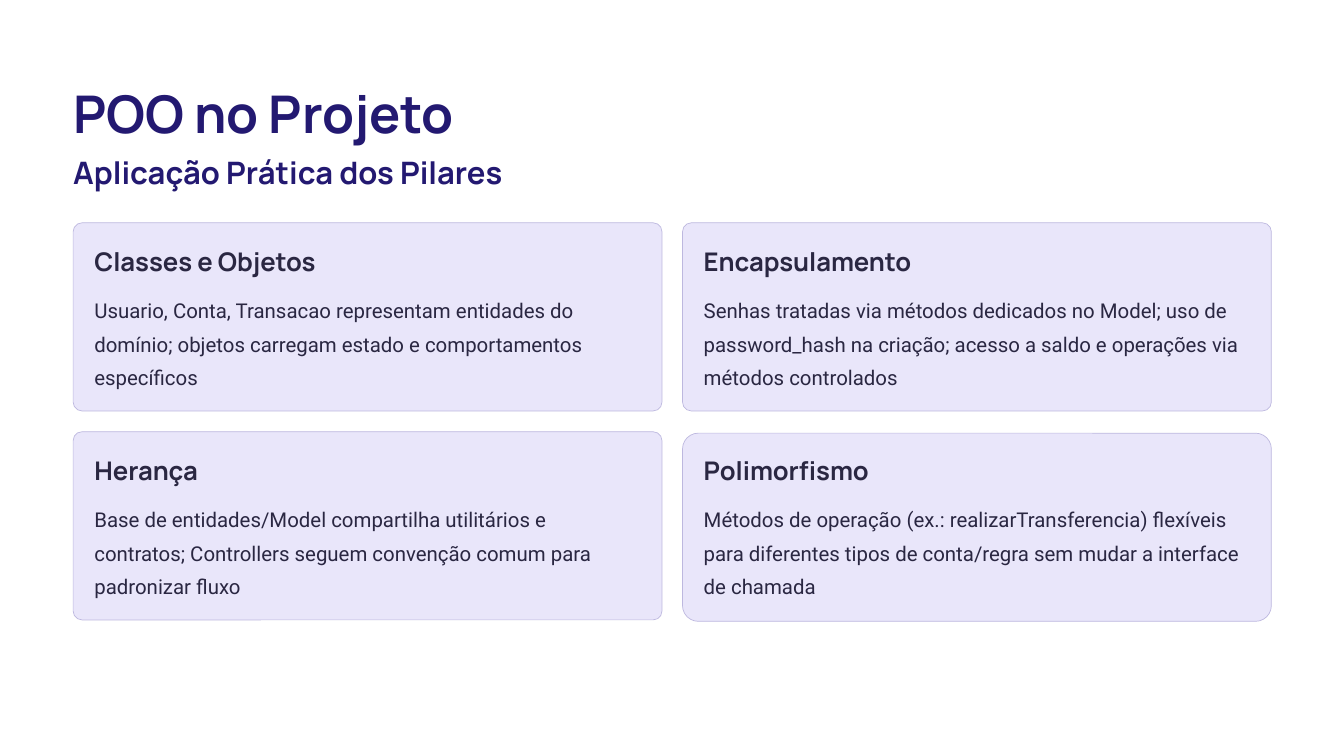
from pptx import Presentation
from pptx.dml.color import RGBColor
from pptx.enum import shapes, text
from pptx.util import Pt

COLORS = {"title": "231971", "ink": "2A2742", "card": "E9E6FA", "border": "BDB8DF"}

LEFT, CARDS_TOP = 62.7, 191
CARD_WIDTH, CARD_HEIGHT = 504.7, 161.3
COLUMN_STEP, ROW_STEP = 522.3, 179.1
PADDING = 18.2
TITLE_WIDTH = 446.4

# heading, body, corner rounding, downward offset
CARDS = [
    ("Classes e Objetos",
     "Usuario, Conta, Transacao representam entidades do domínio; "
     "objetos carregam estado e comportamentos específicos", 0.047, 0),
    ("Encapsulamento",
     "Senhas tratadas via métodos dedicados no Model; uso de password_hash "
     "na criação; acesso a saldo e operações via métodos controlados", 0.047, 0),
    ("Herança",
     "Base de entidades/Model compartilha utilitários e contratos; "
     "Controllers seguem convenção comum para padronizar fluxo", 0.047, 0),
    ("Polimorfismo",
     "Métodos de operação (ex.: realizarTransferencia) flexíveis para diferentes "
     "tipos de conta/regra sem mudar a interface de chamada", 0.084, 1.2),
]


def rgb(name):
    return RGBColor.from_string(COLORS[name])


def add_text(slide, words, left, top, width, height, size, spacing, color,
             font="Manrope", bold=True, wrap=False):
    box = slide.shapes.add_textbox(Pt(left), Pt(top), Pt(width), Pt(height))
    frame = box.text_frame
    frame.word_wrap = wrap
    frame.vertical_anchor = text.MSO_ANCHOR.TOP
    frame.margin_left = frame.margin_right = 0
    frame.margin_top = frame.margin_bottom = 0
    paragraph = frame.paragraphs[0]
    paragraph.text = words
    paragraph.alignment = text.PP_ALIGN.LEFT
    paragraph.line_spacing = Pt(spacing)
    paragraph.font.name = font
    paragraph.font.size = Pt(size)
    paragraph.font.bold = bold
    paragraph.font.color.rgb = rgb(color)


def add_card(slide, left, top, heading, body, rounding, offset):
    """Add a rounded panel with its texts; only the panel is moved by the offset."""
    panel = slide.shapes.add_shape(
        shapes.MSO_SHAPE.ROUNDED_RECTANGLE,
        Pt(left), Pt(top + offset), Pt(CARD_WIDTH), Pt(CARD_HEIGHT))
    panel.adjustments[0] = rounding
    panel.shadow.inherit = False
    panel.fill.solid()
    panel.fill.fore_color.rgb = rgb("card")
    panel.line.color.rgb = rgb("border")
    panel.line.width = Pt(0.6)
    add_text(slide, heading, left + PADDING, top + 18.6, 223.2, 28, 22, 27.5, "ink")
    add_text(slide, body, left + PADDING, top + 57.3, 468, 85.7, 17.5, 28.5, "ink",
             font="Roboto", bold=False, wrap=True)


def main():
    presentation = Presentation()
    presentation.slide_width, presentation.slide_height = Pt(1152), Pt(648)
    slide = presentation.slides.add_slide(presentation.slide_layouts[6])
    add_text(slide, "POO no Projeto", LEFT, 67.7, TITLE_WIDTH, 56.2,
             44.5, 55.5, "title")
    add_text(slide, "Aplicação Prática dos Pilares", LEFT, 130.8, TITLE_WIDTH, 33.8,
             26.5, 33, "title")
    for index, card in enumerate(CARDS):
        row, column = divmod(index, 2)
        add_card(slide, LEFT + column * COLUMN_STEP, CARDS_TOP + row * ROW_STEP, *card)
    presentation.save("out.pptx")


if __name__ == "__main__":
    main()
